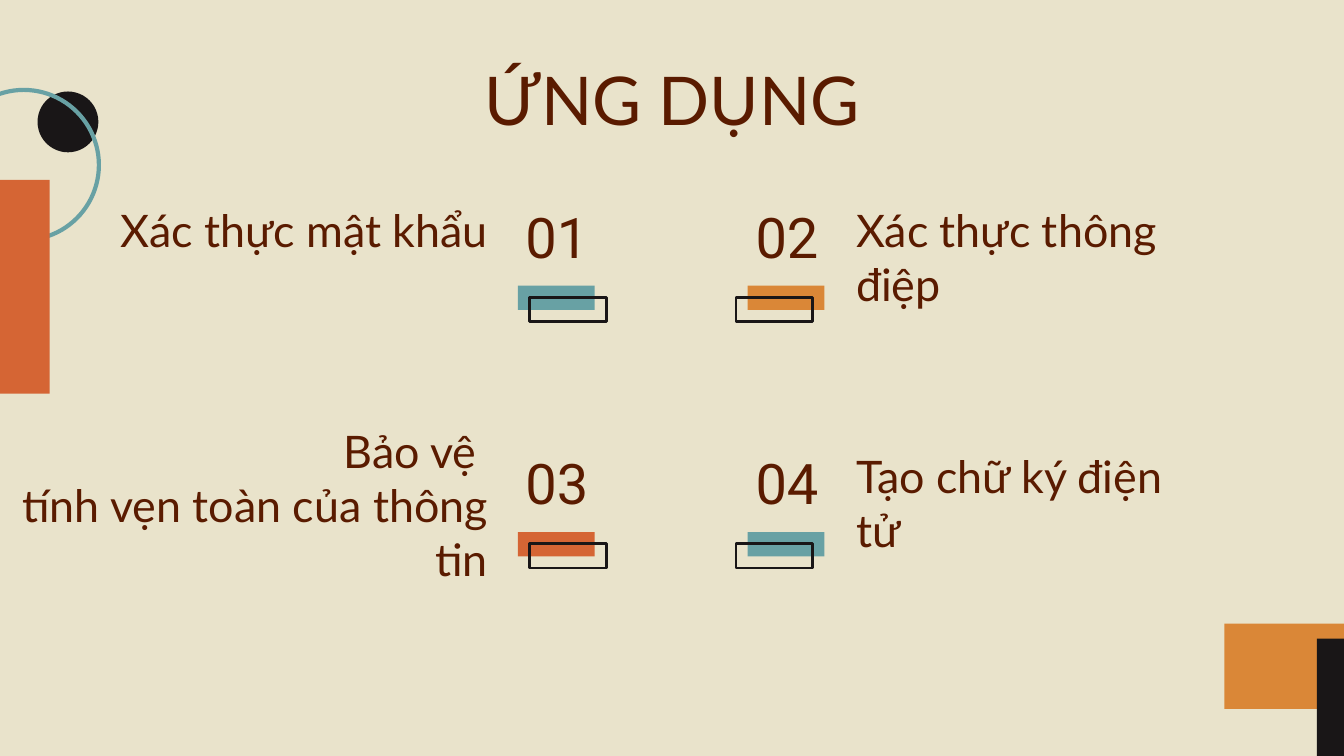
from pptx import Presentation
from pptx.dml.color import RGBColor
from pptx.enum.shapes import MSO_SHAPE as SHAPE
from pptx.enum.text import MSO_ANCHOR as ANCHOR, PP_ALIGN as ALIGN
from pptx.util import Cm, Pt

COLORS = {
    "cream": "E9E3CB",
    "brown": "5A1B00",
    "black": "191617",
    "teal": "68A1A4",
    "amber": "DA8737",
    "rust": "D56534",
}
ROW_STEP = 4.66
BAR_W, BAR_H, BAR_SHIFT = 1.45, 0.46, 0.22


def rgb(name):
    return RGBColor.from_string(COLORS[name])


def add_shape(s, kind, x, y, w, h, fill=None, line=None, weight=1.5):
    sp = s.shapes.add_shape(kind, Cm(x), Cm(y), Cm(w), Cm(h))
    sp.shadow.inherit = False
    if fill:
        sp.fill.solid()
        sp.fill.fore_color.rgb = rgb(fill)
    else:
        sp.fill.background()
    if line:
        sp.line.color.rgb = rgb(line)
        sp.line.width = Pt(weight)
    else:
        sp.line.fill.background()


def add_text(s, text, x, y, w, h, size, align, font="Lato", anchor=ANCHOR.TOP):
    """Add a one-paragraph text box; a vertical tab in text is a line break."""
    tf = s.shapes.add_textbox(Cm(x), Cm(y), Cm(w), Cm(h)).text_frame
    tf.word_wrap = True
    tf.vertical_anchor = anchor
    tf.margin_left = tf.margin_right = tf.margin_top = tf.margin_bottom = Cm(0.25)
    tf.text = text
    p = tf.paragraphs[0]
    p.alignment = align
    for r in p.runs:
        r.font.size = Pt(size)
        r.font.name = font
        r.font.color.rgb = rgb("brown")


def add_decoration(s):
    add_shape(s, SHAPE.OVAL, 0.71, 1.73, 1.15, 1.15, "black")
    add_shape(s, SHAPE.OVAL, -0.97, 1.7, 2.84, 2.84, line="teal", weight=2.25)
    add_shape(s, SHAPE.RECTANGLE, 23.14, 11.79, 2.29, 1.61, "amber")
    add_shape(s, SHAPE.RECTANGLE, 24.89, 12.07, 0.56, 2.31, "black")
    add_shape(s, SHAPE.RECTANGLE, -1.35, 3.4, 2.29, 4.04, "rust")


def add_item(s, index, text, width, color, lift=0):
    """Add one numbered application; lift raises its text above the row."""
    row, col = divmod(index, 2)
    dy = row * ROW_STEP
    if col == 0:
        text_x, align = 9.47 - width, ALIGN.RIGHT
        number_x, bar_x, shift = 9.37, 9.79, BAR_SHIFT
    else:
        text_x, align = 15.93, ALIGN.LEFT
        number_x, bar_x, shift = 13.72, 14.13, -BAR_SHIFT

    add_text(s, text, text_x, 3.58 + dy - lift, width, 1.4, 24, align)
    add_shape(s, SHAPE.RECTANGLE, bar_x, 5.4 + dy, BAR_W, BAR_H, color)
    add_shape(s, SHAPE.RECTANGLE, bar_x + shift, 5.4 + BAR_SHIFT + dy,
              BAR_W, BAR_H, line="black")
    add_text(s, f"{index + 1:02}", number_x, 3.94 + dy, 2.31, 1.4, 30,
             ALIGN.CENTER, "Roboto", ANCHOR.BOTTOM)


def main():
    prs = Presentation()
    prs.slide_width, prs.slide_height = Cm(25.4), Cm(14.29)
    s = prs.slides.add_slide(prs.slide_layouts[6])
    s.background.fill.solid()
    s.background.fill.fore_color.rgb = rgb("cream")

    add_decoration(s)
    add_text(s, "ỨNG DỤNG", 3.28, 0.86, 18.85, 2.03, 36, ALIGN.CENTER)
    items = [
        ("Xác thực mật khẩu", 7.52, "teal"),
        ("Xác thực thông điệp", 7.14, "amber"),
        ("Bảo vệ \vtính vẹn toàn của thông tin", 9.47, "rust", 0.48),
        ("Tạo chữ ký điện tử", 6.73, "teal"),
    ]
    for index, item in enumerate(items):
        add_item(s, index, *item)

    prs.save("out.pptx")


if __name__ == "__main__":
    main()
